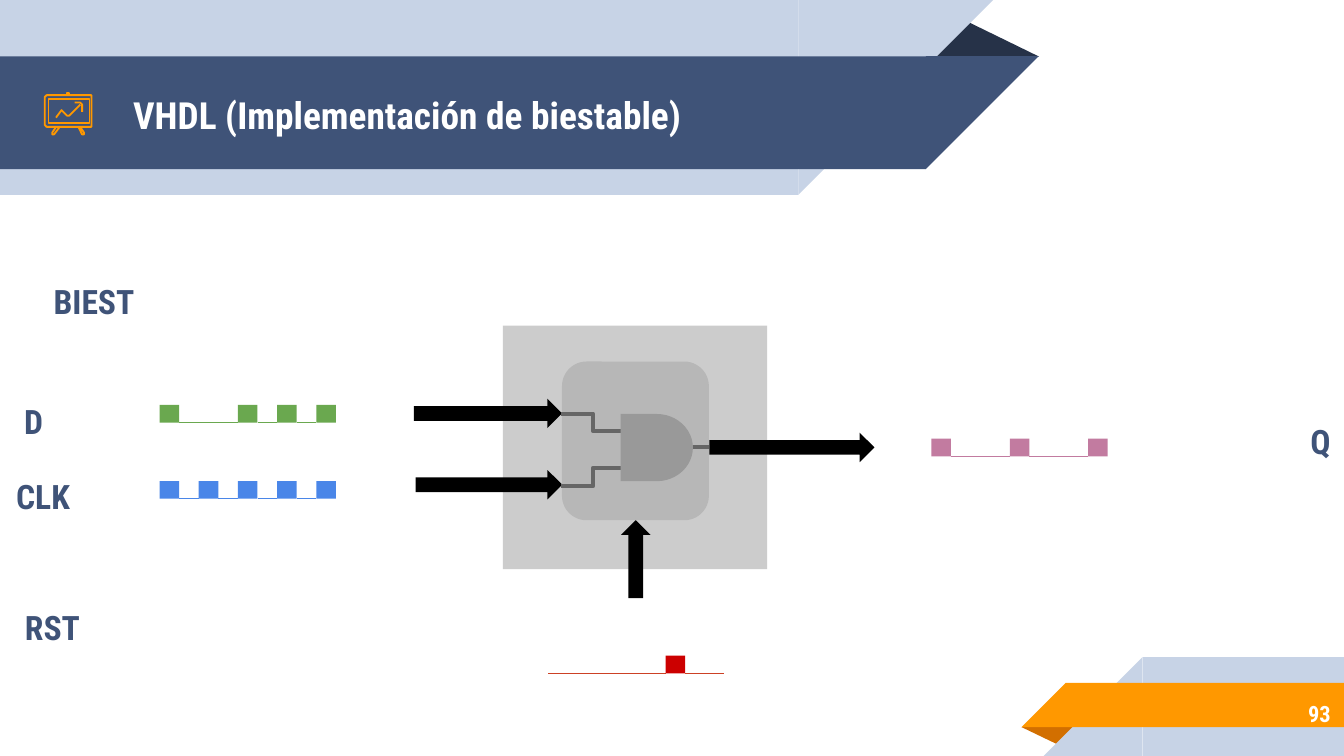
from dataclasses import dataclass
from itertools import groupby

from lxml.etree import SubElement
from pptx import Presentation
from pptx.dml.color import RGBColor
from pptx.enum.shapes import MSO_CONNECTOR as Cxn, MSO_SHAPE as Shape
from pptx.enum.text import MSO_ANCHOR as Anchor, PP_ALIGN as Align
from pptx.oxml.ns import qn
from pptx.util import Pt

FONT = "Roboto Condensed"
COLORS = {
    "light": "C7D3E6", "navy": "3F5378", "shade": "263248",
    "orange": "FF9800", "rust": "D26F00", "white": "FFFFFF",
    "black": "000000", "chip": "CCCCCC", "core": "B7B7B7",
    "gate": "999999", "wire": "666666", "green": "6AA84F",
    "blue": "4A86E8", "pink": "C27BA0", "red": "CC0000", "brick": "CC4125",
}
SLOT, PULSE_HEIGHT = 10.5, 9.5


@dataclass
class Box:
    x: float
    y: float
    w: float
    h: float

    def emu(self) -> list:
        return [Pt(v) for v in (self.x, self.y, self.w, self.h)]


@dataclass
class Label:
    text: str
    box: Box


@dataclass
class Wave:
    x: float
    y: float
    bits: str
    high: str
    low: str


@dataclass
class Stroke:
    points: list
    closed: bool = False


LABELS = [
    Label("BIEST", Box(0, 149, 100.8, 24.5)),
    Label("Q", Box(694.8, 220.3, 25.2, 32.4)),
    Label("RST", Box(0, 324.7, 56.2, 22.3)),
    Label("CLK", Box(0, 247.7, 46.1, 36)),
    Label("D", Box(0, 209.5, 36, 32.4)),
]
WAVES = [
    Wave(85.5, 216.9, "100010101", "green", "green"),
    Wave(85.5, 257.7, "101010101", "blue", "blue"),
    Wave(499, 235, "100010001", "pink", "pink"),
    Wave(293.6, 351.3, "000000100", "red", "brick"),
]
ICON = [
    Stroke([(24.6, 51.1), (48.6, 51.1), (49, 51.6), (49, 67.1), (48.6, 67.5),
            (24.6, 67.5), (24.2, 67.1), (24.2, 51.6)], True),
    Stroke([(36, 51.1), (36, 50.2), (36.7, 49.7), (37.4, 50.2), (37.4, 51.1)]),
    Stroke([(30.2, 67.5), (28.1, 71.3), (28.3, 72), (29.3, 72.2), (31.7, 67.5)]),
    Stroke([(41.8, 67.5), (44.1, 72.2), (45.1, 72), (45.3, 71.3), (43.2, 67.5)]),
    Stroke([(25.9, 52.6), (47.5, 52.6), (47.5, 66), (25.9, 66)], True),
    Stroke([(43.2, 56.2), (37.2, 62.1), (36.4, 62.1), (33.1, 59), (29.5, 62.6)]),
    Stroke([(39.6, 55.4), (43.3, 55.4), (43.9, 56), (43.9, 59.8)]),
]
ARROWS = [
    (Box(319.7, 291.6, 41.8, 15.8), 270),
    (Box(380, 231.8, 88.4, 15.8), 0),
    (Box(222.6, 251.8, 78.6, 15.8), 0),
    (Box(221.8, 213.6, 79.3, 15.8), 0),
]


def rgb(name: str) -> RGBColor:
    return RGBColor.from_string(COLORS[name])


def add_shape(s, kind, box: Box, color: str, rotation: float = 0, flip: str = ""):
    sp = s.shapes.add_shape(kind, *box.emu())
    sp.shadow.inherit = False
    sp.fill.solid()
    sp.fill.fore_color.rgb = rgb(color)
    sp.line.fill.background()
    sp.rotation = rotation
    if flip:
        sp.element.spPr.find(qn("a:xfrm")).set(flip, "1")
    return sp


def add_line(s, start: tuple, end: tuple, color: str, width: float, kind=Cxn.STRAIGHT) -> None:
    cx = s.shapes.add_connector(kind, *[Pt(v) for v in (*start, *end)])
    cx.line.color.rgb = rgb(color)
    cx.line.width = Pt(width)
    SubElement(cx.element.spPr, qn("a:effectLst"))


def add_band(s, box: Box, color: str, slant_left: bool = False) -> None:
    add_shape(s, Shape.RECTANGLE, box, color)
    x = box.x - box.h if slant_left else box.x + box.w
    add_shape(s, Shape.RIGHT_TRIANGLE, Box(x, box.y, box.h, box.h), color,
              flip="flipH" if slant_left else "flipV")


def set_text(sp, text: str, size: float, color: str, align, wrap: bool = True) -> None:
    tf = sp.text_frame
    tf.text = text
    tf.word_wrap = wrap
    tf.vertical_anchor = Anchor.MIDDLE
    tf.margin_left = tf.margin_right = tf.margin_top = tf.margin_bottom = Pt(7.2)
    p = tf.paragraphs[0]
    p.alignment = align
    r = p.runs[0]
    r.font.name, r.font.size, r.font.bold = FONT, Pt(size), True
    r.font.color.rgb = rgb(color)


def add_stroke(s, stroke: Stroke) -> None:
    builder = s.shapes.build_freeform(*stroke.points[0], scale=float(Pt(1)))
    builder.add_line_segments(stroke.points[1:], close=stroke.closed)
    sp = builder.convert_to_shape()
    sp.shadow.inherit = False
    sp.fill.background()
    sp.line.color.rgb = rgb("orange")
    sp.line.width = Pt(0.96)


def add_wave(s, wave: Wave) -> None:
    x, base = wave.x, wave.y + PULSE_HEIGHT
    for bit, run in groupby(wave.bits):
        width = SLOT * len(list(run))
        if bit == "1":
            add_shape(s, Shape.RECTANGLE, Box(x, wave.y, width, PULSE_HEIGHT), wave.high)
        else:
            add_line(s, (x, base), (x + width, base), wave.low, 0.75)
        x += width


def main() -> None:
    prs = Presentation()
    prs.slide_width, prs.slide_height = Pt(720), Pt(405)
    s = prs.slides.add_slide(prs.slide_layouts[5])

    add_shape(s, Shape.ISOSCELES_TRIANGLE, Box(495.4, 10.1, 61.2, 20.2),
              "shade").adjustments[0] = 0.324
    add_band(s, Box(0, 0, 427.7, 104.4), "light")
    add_band(s, Box(0, 30.2, 496, 60.5), "navy")
    add_shape(s, Shape.ISOSCELES_TRIANGLE, Box(547.2, 389.5, 31, 10.1),
              "rust", 180).adjustments[0] = 0.324
    add_band(s, Box(612.1, 352.1, 107.9, 52.9), "light", True)
    add_band(s, Box(571, 365.8, 149, 23.8), "orange", True)

    title = s.shapes.title
    title.left, title.top, title.width, title.height = Box(64.1, 31, 414, 60.5).emu()
    set_text(title, "VHDL (Implementación de biestable)", 20, "white", Align.LEFT)
    s.shapes.element.append(title.element)
    number = s.shapes.add_textbox(*Box(602.6, 369.7, 117.4, 25.2).emu())
    set_text(number, "93", 12, "white", Align.RIGHT)
    for label in LABELS:
        set_text(s.shapes.add_textbox(*label.box.emu()), label.text, 18, "navy",
                 Align.CENTER, False)
    for stroke in ICON:
        add_stroke(s, stroke)

    add_shape(s, Shape.RECTANGLE, Box(269.4, 174.5, 141.6, 130.5), "chip")
    for box, rotation in ARROWS:
        add_shape(s, Shape.RIGHT_ARROW, box, "black", rotation)
    add_shape(s, Shape.ROUNDED_RECTANGLE, Box(301.1, 193.7, 78.7, 85), "core")
    add_line(s, (334.8, 231), (300.6, 221.7), "wire", 2.25, Cxn.ELBOW)
    add_line(s, (334.8, 250.7), (300.6, 260.4), "wire", 2.25, Cxn.ELBOW)
    add_shape(s, Shape.FLOWCHART_DELAY, Box(332.5, 221.8, 38.7, 36), "gate")
    add_line(s, (371.1, 239.6), (380, 239.6), "wire", 2.25)
    for wave in WAVES:
        add_wave(s, wave)

    prs.save("out.pptx")


if __name__ == "__main__":
    main()
